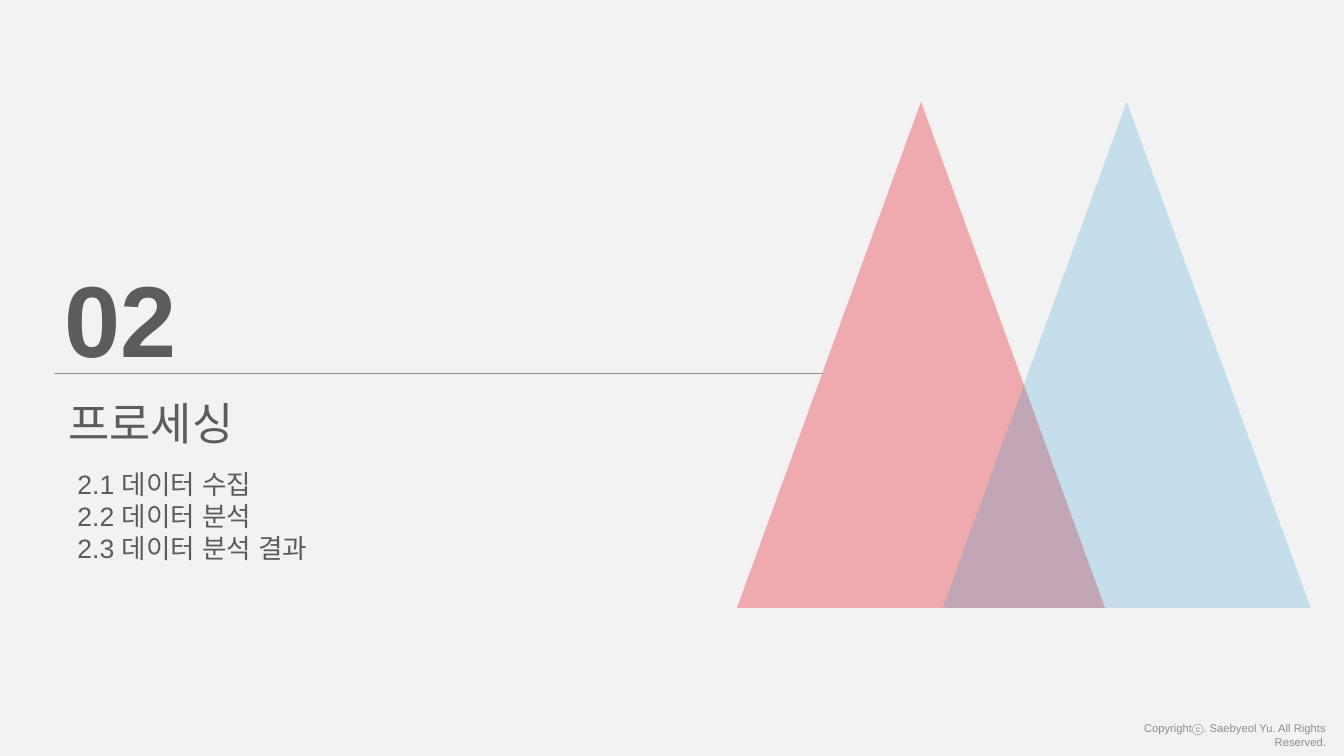
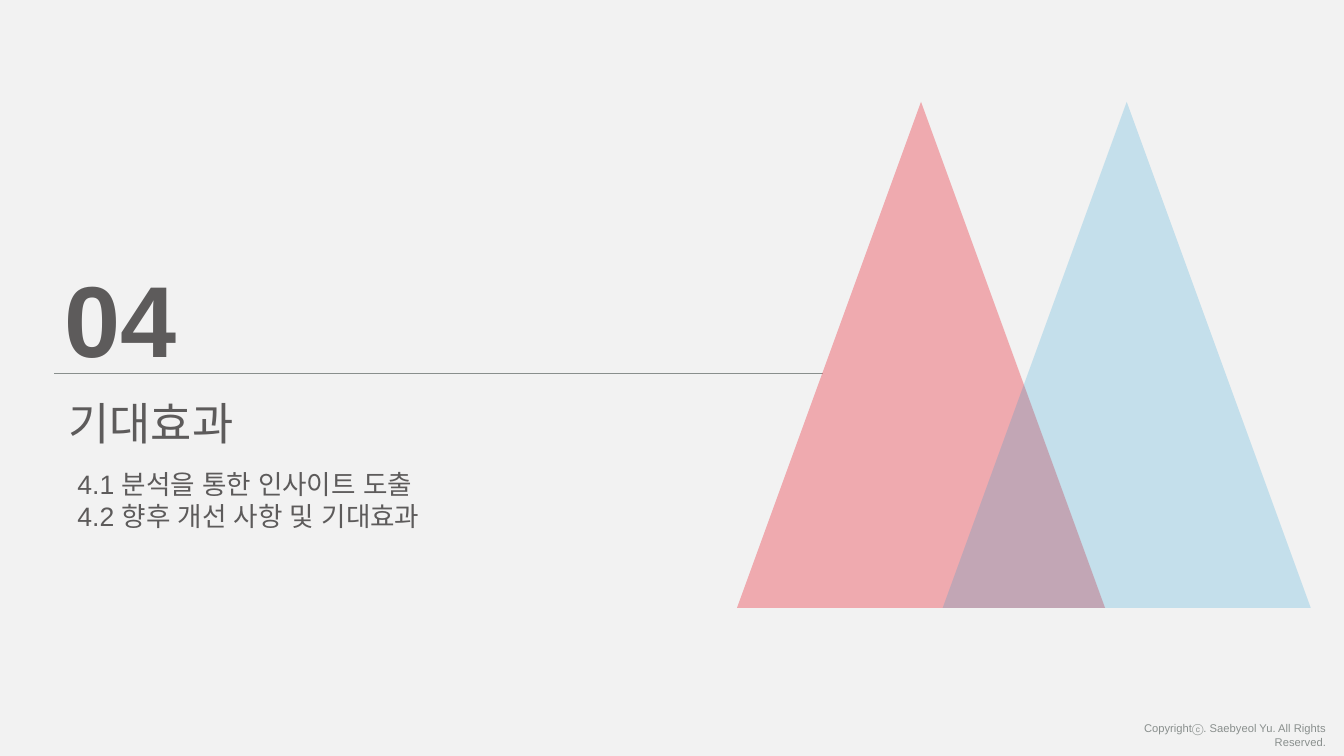
from pptx import Presentation
from pptx.dml.color import RGBColor
from pptx.enum.shapes import MSO_CONNECTOR, MSO_SHAPE
from pptx.enum.text import MSO_AUTO_SIZE, PP_ALIGN
from pptx.oxml.ns import qn
from pptx.util import Inches, Pt
from lxml.etree import SubElement

PAPER = RGBColor(0xF2, 0xF2, 0xF2)
DARK = RGBColor(0x5D, 0x5B, 0x5B)
GRAY = RGBColor(0x89, 0x8F, 0x8D)
RED = RGBColor(0xED, 0x63, 0x6D)
BLUE = RGBColor(0x10, 0x97, 0xD0)
FONT = "Arial"

FOOTER = "Copyrightⓒ. Saebyeol Yu. All Rights Reserved."
PEAKS = [(7.31, RED, 50), (9.35, BLUE, 20)]
PARTS = [
    ("02", "프로세싱", 2.49,
     ["2.1 데이터 수집", "2.2 데이터 분석", "2.3 데이터 분석 결과"]),
    ("04", "기대효과", 3.61,
     ["4.1 분석을 통한 인사이트 도출", "4.2 향후 개선 사항 및 기대효과"]),
]


def add_text(slide, box, lines, size, color=DARK, bold=False, align=PP_ALIGN.LEFT):
    frame = slide.shapes.add_textbox(*map(Inches, box)).text_frame
    frame.word_wrap = True
    frame.auto_size = MSO_AUTO_SIZE.SHAPE_TO_FIT_TEXT
    frame.text = "\n".join(lines)
    for para in frame.paragraphs:
        para.alignment = align
        for run in para.runs:
            font = run.font
            font.name, font.size, font.bold = FONT, Pt(size), bold
            font.color.rgb = color
            for tag in ("a:ea", "a:cs"):
                SubElement(run._r.rPr, qn(tag), typeface=FONT)


def add_rule(slide):
    ends = map(Inches, (0.54, 3.71, 8.16, 3.71))
    rule = slide.shapes.add_connector(MSO_CONNECTOR.STRAIGHT, *ends)
    rule.line.color.rgb = GRAY
    rule.line.width = Pt(0.75)
    SubElement(rule._element.spPr, qn("a:effectLst"))


def add_peak(slide, left, color, alpha):
    box = map(Inches, (left, 1.01, 3.65, 5.02))
    peak = slide.shapes.add_shape(MSO_SHAPE.ISOSCELES_TRIANGLE, *box)
    peak.shadow.inherit = False
    peak.fill.solid()
    peak.fill.fore_color.rgb = color
    peak.line.fill.background()
    tint = peak._element.spPr.find(qn("a:solidFill"))[0]
    SubElement(tint, qn("a:alpha"), val=str(alpha * 1000))


def add_part(deck, number, title, width, items):
    slide = deck.slides.add_slide(deck.slide_layouts[6])
    slide.background.fill.solid()
    slide.background.fill.fore_color.rgb = PAPER
    add_text(slide, (0.54, 2.5, 1.32, 1.31), [number], 72, bold=True)
    add_text(slide, (0.58, 3.88, 1.91, 0.64), [title], 32)
    add_text(slide, (10.8, 7.11, 2.45, 0.24), [FOOTER], 8, GRAY, align=PP_ALIGN.RIGHT)
    add_rule(slide)
    for peak in PEAKS:
        add_peak(slide, *peak)
    height = 0.1 + 0.32 * len(items)
    add_text(slide, (0.67, 4.59, width, height), items, 19)


def main():
    deck = Presentation()
    deck.slide_width, deck.slide_height = Inches(13.33), Inches(7.5)
    for part in PARTS:
        add_part(deck, *part)
    deck.save("out.pptx")


if __name__ == "__main__":
    main()
